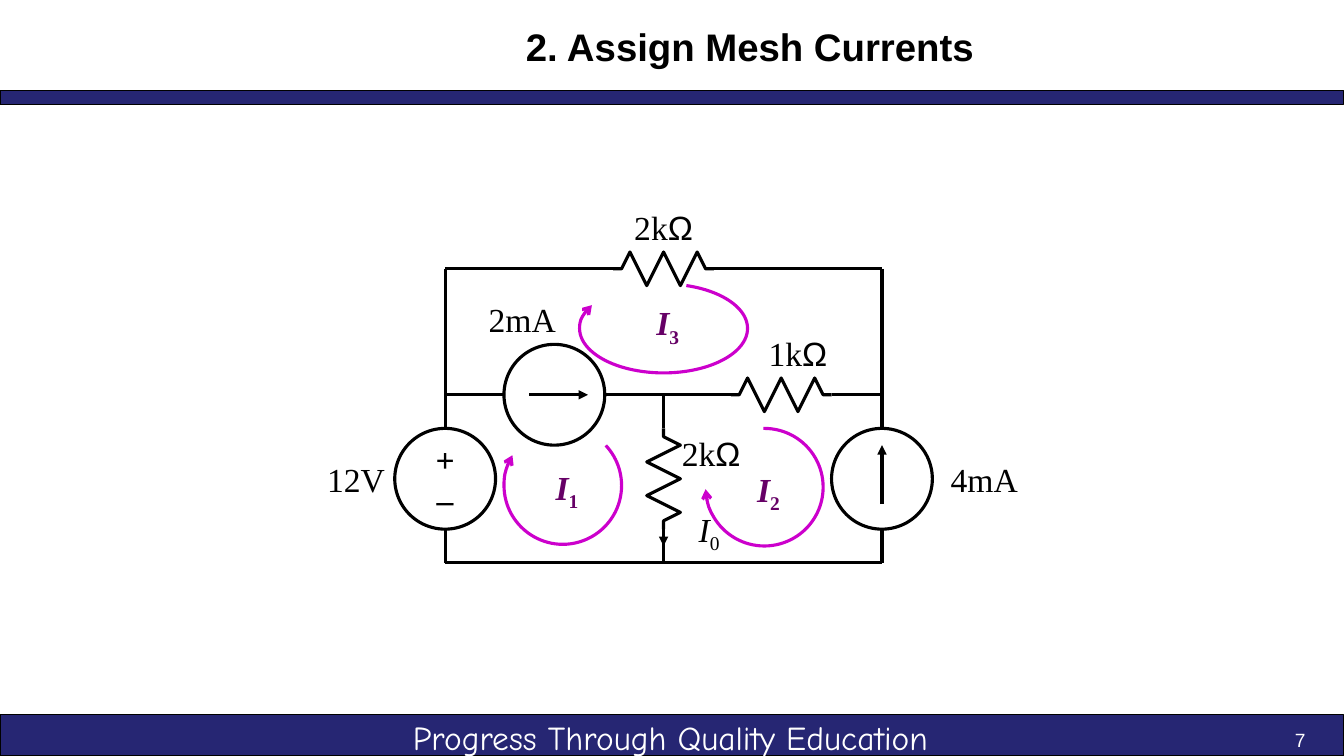
from dataclasses import dataclass

from lxml import etree
from pptx import Presentation
from pptx.dml.color import RGBColor
from pptx.enum.shapes import MSO_CONNECTOR, MSO_SHAPE
from pptx.enum.text import MSO_ANCHOR, MSO_AUTO_SIZE, PP_ALIGN
from pptx.oxml.ns import qn
from pptx.util import Inches, Pt

STRAIGHT = MSO_CONNECTOR.STRAIGHT
RECT, OVAL, ARC = MSO_SHAPE.RECTANGLE, MSO_SHAPE.OVAL, MSO_SHAPE.ARC
LEFT, CENTER, RIGHT = PP_ALIGN.LEFT, PP_ALIGN.CENTER, PP_ALIGN.RIGHT
TOP, MIDDLE = MSO_ANCHOR.TOP, MSO_ANCHOR.MIDDLE
NO_AUTOFIT = MSO_AUTO_SIZE.NONE

# The slide is a grid of 160 columns by 90 rows.
CELL = Inches(1) // 12
COLS, ROWS = 160, 90
LABEL_ROWS = 6
RADIUS = 6

# Mesh of the circuit: columns and rows that the wires run along
X_LEFT, X_MID, X_RIGHT = 53, 79, 105
Y_TOP, Y_MID, Y_BOTTOM = 32, 47, 67
Y_SOURCE = 57
X_CURRENT = 66

# Resistor outline as (distance along, distance across)
ZIGZAG = [(0, 0), (1, 0), (2, 2), (4, -2), (6, 2), (8, -2), (10, 2), (11, 0), (12, 0)]


@dataclass(frozen=True)
class Theme:
    ink: RGBColor = RGBColor(0, 0, 0)
    paper: RGBColor = RGBColor(0xFF, 0xFF, 0xFF)
    bar: RGBColor = RGBColor(0x26, 0x26, 0x73)
    loop: RGBColor = RGBColor(0xCC, 0x00, 0xCC)
    loop_name: RGBColor = RGBColor(0x66, 0x00, 0x66)
    sans: str = "Arial"
    serif: str = "Times New Roman"
    script: str = "Comic Neue"
    title_size: float = 27.4
    motto_size: float = 23.9
    label_size: float = 24
    number_size: float = 13.7
    wire_width: float = 2.25
    bar_width: float = 0.75


THEME = Theme()


def cells(*values):
    return [round(v * CELL) for v in values]


def add_run(p, text, size, color, font, bold=False, italic=False, subscript=False):
    r = p.add_run()
    r.text = text
    r.font.size, r.font.name = Pt(size), font
    r.font.bold, r.font.italic = bold, italic
    r.font.color.rgb = color
    if subscript:
        r.font._element.set("baseline", "-25000")


def set_line(line, color=THEME.ink, width=THEME.wire_width, head=None):
    line.color.rgb = color
    line.width = Pt(width)
    if head:
        etree.SubElement(line._get_or_add_ln(), qn("a:tailEnd"), type=head)


def add_bar(s, row, height):
    sp = s.shapes.add_shape(RECT, *cells(0, row, COLS, height))
    sp.shadow.inherit = False
    sp.fill.solid()
    sp.fill.fore_color.rgb = THEME.bar
    set_line(sp.line, width=THEME.bar_width)


def add_text(s, box, align):
    """Add a wrapping text box and return its first paragraph."""
    tf = s.shapes.add_textbox(*cells(*box)).text_frame
    tf.word_wrap = True
    p = tf.paragraphs[0]
    p.alignment = align
    return p


def add_label(s, col, row, width, text, align=LEFT):
    p = add_text(s, (col, row, width, LABEL_ROWS), align)
    value = text.rstrip("Ω")
    add_run(p, value, THEME.label_size, THEME.ink, THEME.serif)
    if value != text:
        add_run(p, "Ω", THEME.label_size, THEME.ink, THEME.sans)


def add_current_name(s, col, row, width, index, color, align=LEFT, bold=False):
    p = add_text(s, (col, row, width, LABEL_ROWS), align)
    add_run(p, "I", THEME.label_size, color, THEME.serif, bold, italic=True)
    add_run(p, index, THEME.label_size, color, THEME.serif, bold, subscript=True)


def add_wire(s, x1, y1, x2, y2, head=None):
    wire = s.shapes.add_connector(STRAIGHT, *cells(x1, y1, x2, y2))
    set_line(wire.line, head=head)
    etree.SubElement(wire._element.spPr, qn("a:effectLst"))


def add_resistor(s, col, row, vertical=False):
    points = [(col + b, row + a) if vertical else (col + a, row - b) for a, b in ZIGZAG]
    builder = s.shapes.build_freeform(*points[0], scale=CELL)
    builder.add_line_segments(points[1:], close=False)
    sp = builder.convert_to_shape()
    sp.shadow.inherit = False
    sp.fill.background()
    set_line(sp.line)


def add_source(s, x, y, signs=()):
    """Draw a source as a circle centred on x, y."""
    sp = s.shapes.add_shape(OVAL, *cells(x - RADIUS, y - RADIUS, 2 * RADIUS, 2 * RADIUS))
    sp.shadow.inherit = False
    sp.fill.background()
    set_line(sp.line)
    tf = sp.text_frame
    tf.word_wrap = False
    tf.vertical_anchor = MIDDLE
    for i, sign in enumerate(signs):
        p = tf.add_paragraph() if i else tf.paragraphs[0]
        p.alignment = CENTER
        add_run(p, sign, THEME.label_size, THEME.ink, THEME.serif, bold=True)


def add_mesh_loop(s, x, y, rx, ry, start, end):
    """Draw a clockwise arc with an arrowhead, angles in degrees."""
    sp = s.shapes.add_shape(ARC, *cells(x - rx, y - ry, 2 * rx, 2 * ry))
    sp.shadow.inherit = False
    sp.fill.background()
    # An angle is stored in 60000ths of a degree, an adjustment in 100000ths.
    sp.adjustments[0], sp.adjustments[1] = start * 0.6, end * 0.6
    set_line(sp.line, THEME.loop, head="arrow")


def add_title(s, text):
    title = s.shapes.title
    title.left, title.top, title.width, title.height = cells(41.6, 2, 95.3, 7)
    tf = title.text_frame
    tf.auto_size = NO_AUTOFIT
    tf.vertical_anchor = TOP
    tf.margin_left = tf.margin_right = Inches(0.11)
    tf.margin_top = tf.margin_bottom = Inches(0.06)
    p = tf.paragraphs[0]
    p.alignment = CENTER
    add_run(p, text, THEME.title_size, THEME.ink, THEME.sans, bold=True)


def add_frame(s):
    add_bar(s, 85.1, 4.9)
    add_bar(s, 10.8, 1.6)
    motto = add_text(s, (41.8, 84.8, 76, 5.2), CENTER)
    add_run(motto, "Progress Through Quality Education", THEME.motto_size,
            THEME.paper, THEME.script)
    number = add_text(s, (119.3, 86.1, 37.3, 3.7), RIGHT)
    add_run(number, "7", THEME.number_size, THEME.paper, THEME.sans)


def add_circuit(s):
    above, below = Y_SOURCE - RADIUS, Y_SOURCE + RADIUS
    for wire in [
        (X_LEFT, Y_BOTTOM, X_RIGHT, Y_BOTTOM),
        (X_LEFT, Y_TOP, 73, Y_TOP), (85, Y_TOP, X_RIGHT, Y_TOP),
        (X_LEFT, Y_MID, X_CURRENT - RADIUS, Y_MID),
        (X_CURRENT + RADIUS, Y_MID, 87, Y_MID), (99, Y_MID, X_RIGHT, Y_MID),
        (X_LEFT, Y_TOP, X_LEFT, above), (X_RIGHT, Y_TOP, X_RIGHT, above),
        (X_MID, Y_MID, X_MID, above),
    ]:
        add_wire(s, *wire)
    for x in (X_LEFT, X_MID, X_RIGHT):
        add_wire(s, x, below, x, Y_BOTTOM)

    add_resistor(s, 73, Y_TOP)
    add_resistor(s, 87, Y_MID)
    add_resistor(s, X_MID, above, vertical=True)

    add_source(s, X_LEFT, Y_SOURCE, ("+", "–"))
    add_source(s, X_RIGHT, Y_SOURCE)
    add_source(s, X_CURRENT, Y_MID)
    for arrow in [(X_RIGHT, 60, X_RIGHT, 53), (63, Y_MID, 70, Y_MID),
                  (X_MID, below, X_MID, 65)]:
        add_wire(s, *arrow, head="triangle")

    add_label(s, 73, 24, 12, "2kΩ", CENTER)
    add_label(s, 89, 39, 12, "1kΩ", CENTER)
    add_label(s, 80, 51, 12, "2kΩ")
    add_label(s, 37, 54, 10, "12V", RIGHT)
    add_label(s, 112, 54, 11, "4mA")
    add_label(s, 57, 35, 11, "2mA")
    add_current_name(s, 82, 60, 11, "0", THEME.ink)


def add_mesh_currents(s):
    for index, loop, col, row in [
        ("1", (67, 57.8, 7, 7, 317, 211), 64, 55),
        ("2", (91, 58, 7, 7, 269, 178), 88, 55.2),
        ("3", (79, 39.1, 10, 5.3, 298, 198), 76, 35.4),
    ]:
        add_mesh_loop(s, *loop)
        add_current_name(s, col, row, 7, index, THEME.loop_name, CENTER, bold=True)


def main():
    prs = Presentation()
    prs.slide_width, prs.slide_height = cells(COLS, ROWS)
    s = prs.slides.add_slide(prs.slide_layouts[5])
    add_frame(s)
    add_title(s, "2. Assign Mesh Currents")
    add_mesh_currents(s)
    add_circuit(s)
    prs.save("out.pptx")


if __name__ == "__main__":
    main()
